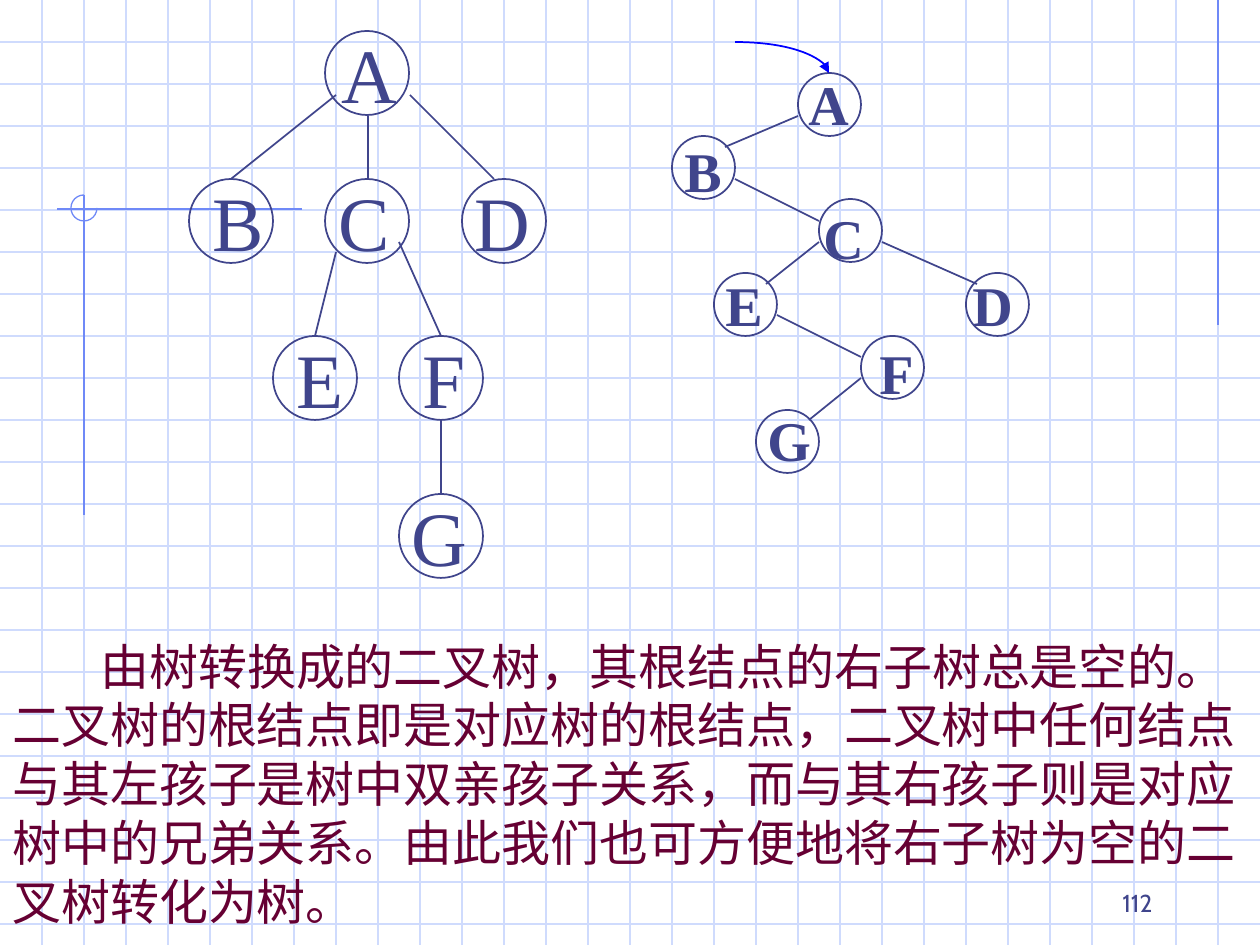
from dataclasses import dataclass
from typing import NamedTuple

from lxml import etree
from pptx import Presentation
from pptx import util as u
from pptx.dml import color
from pptx.enum import shapes, text
from pptx.oxml import ns

EMU_PER_PX = 914400 / 126
WIDTH, HEIGHT, GRID = 1260, 945, 42


def px(length: int) -> u.Emu:
    return u.Emu(round(length * EMU_PER_PX))


@dataclass(frozen=True)
class Theme:
    grid: str = "CFDBFD"
    accent: str = "6F89F7"
    ink: str = "40458C"
    arrow: str = "0000FF"
    body: str = "660033"
    serif: str = "Times New Roman"
    sans: str = "Cabin"
    tree_size: int = 44
    binary_size: int = 32
    body_size: int = 28
    number_size: int = 14
    thin: float = 0.75
    stroke: float = 1
    leading: float = 1.2


class Box(NamedTuple):
    left: int
    top: int
    width: int
    height: int


class Line(NamedTuple):
    x1: int
    y1: int
    x2: int
    y2: int


class Node(NamedTuple):
    letter: str
    left: int
    top: int
    text_left: int
    text_width: int


class Cell(NamedTuple):
    letter: str
    indent: int


@dataclass(frozen=True)
class Style:
    size: int
    color: str
    font: str
    bold: bool = False


THEME = Theme()
TREE_DIAMETER, BINARY_DIAMETER = 84, 63

TREE_NODES = [
    Node("A", 325, 31, 329, 81),
    Node("B", 189, 179, 200, 77),
    Node("C", 325, 179, 326, 77),
    Node("D", 462, 179, 462, 81),
    Node("E", 273, 336, 284, 72),
    Node("F", 399, 336, 410, 68),
    Node("G", 399, 494, 399, 81),
]
TREE_EDGES = [
    Line(410, 95, 494, 179), Line(336, 95, 231, 179), Line(336, 252, 315, 336),
    Line(368, 116, 368, 179), Line(399, 242, 441, 336), Line(441, 420, 441, 494),
]
BINARY_CIRCLES = [(798, 73), (819, 199), (672, 136), (966, 273), (714, 273), (861, 336), (756, 410)]
BINARY_EDGES = [
    Line(735, 179, 819, 221), Line(882, 242, 977, 284), Line(777, 315, 861, 357),
    Line(819, 242, 766, 284), Line(798, 116, 725, 147), Line(861, 378, 809, 420),
]
BINARY_ROWS = [
    [Cell("A", 124)], [Cell("B", 0)], [Cell("C", 139)],
    [Cell("E", 41), Cell("D", 288)], [Cell("F", 195)], [Cell("G", 83)],
]
BODY = (
    "由树转换成的二叉树，其根结点的右子树总是空的。"
    "二叉树的根结点即是对应树的根结点，二叉树中任何结点与其左孩子是树中双亲孩子关系，"
    "而与其右孩子则是对应树中的兄弟关系。由此我们也可方便地将右子树为空的二叉树转化为树。"
)


def add_line(slide, line: Line, rgb: str, width: float, kind=shapes.MSO_CONNECTOR.STRAIGHT):
    connector = slide.shapes.add_connector(kind, *map(px, line))
    connector.line.color.rgb = color.RGBColor.from_string(rgb)
    connector.line.width = u.Pt(width)
    etree.SubElement(connector._element.spPr, ns.qn("a:effectLst"))
    return connector


def add_outline(slide, kind, box: Box, rgb: str, width: float):
    shape = slide.shapes.add_shape(kind, *map(px, box))
    shape.shadow.inherit = False
    shape.fill.background()
    shape.line.color.rgb = color.RGBColor.from_string(rgb)
    shape.line.width = u.Pt(width)
    return shape


def add_text_box(slide, box: Box, wrap: bool):
    frame = slide.shapes.add_textbox(*map(px, box)).text_frame
    frame.word_wrap = wrap
    return frame


def add_run(paragraph, content: str, style: Style) -> None:
    run = paragraph.add_run()
    run.text = content
    run.font.size = u.Pt(style.size)
    run.font.name = style.font
    run.font.bold = style.bold
    run.font.color.rgb = color.RGBColor.from_string(style.color)


def set_leading(paragraph, size: int) -> None:
    paragraph.line_spacing = u.Pt(round(size * THEME.leading, 1))


def draw_background(slide) -> None:
    for y in range(GRID, HEIGHT, GRID):
        add_line(slide, Line(0, y, WIDTH, y), THEME.grid, THEME.thin)
    for x in range(GRID, WIDTH, GRID):
        add_line(slide, Line(x, 0, x, HEIGHT), THEME.grid, THEME.thin)
    for line in (Line(1218, 0, 1218, 325), Line(302, 209, 57, 209), Line(84, 195, 84, 515)):
        add_line(slide, line, THEME.accent, THEME.thin)
    arc = add_outline(slide, shapes.MSO_SHAPE.ARC, Box(71, 195, 26, 26), THEME.accent, THEME.thin)
    arc.adjustments[0] = 0
    arc.adjustments[1] = 162


def draw_tree(slide) -> None:
    style = Style(THEME.tree_size, THEME.ink, THEME.serif)
    for node in TREE_NODES:
        circle = Box(node.left, node.top, TREE_DIAMETER, TREE_DIAMETER)
        add_outline(slide, shapes.MSO_SHAPE.OVAL, circle, THEME.ink, THEME.stroke)
        label = Box(node.text_left, node.top - 11, node.text_width, 106)
        paragraph = add_text_box(slide, label, False).paragraphs[0]
        set_leading(paragraph, style.size)
        add_run(paragraph, node.letter, style)
    for edge in TREE_EDGES:
        add_line(slide, edge, THEME.ink, THEME.stroke)


def draw_binary_tree(slide) -> None:
    style = Style(THEME.binary_size, THEME.ink, THEME.serif, True)
    frame = add_text_box(slide, Box(672, 63, 355, 416), False)
    for index, row in enumerate(BINARY_ROWS):
        paragraph = frame.add_paragraph() if index else frame.paragraphs[0]
        set_leading(paragraph, style.size)
        stops = [cell.indent for cell in row if cell.indent]
        if stops:
            tabs = etree.SubElement(paragraph._p.get_or_add_pPr(), ns.qn("a:tabLst"))
            for stop in stops:
                etree.SubElement(tabs, ns.qn("a:tab"), pos=str(px(stop)), algn="l")
        for cell in row:
            add_run(paragraph, ("\t" if cell.indent else "") + cell.letter, style)
    for left, top in BINARY_CIRCLES:
        circle = Box(left, top, BINARY_DIAMETER, BINARY_DIAMETER)
        add_outline(slide, shapes.MSO_SHAPE.OVAL, circle, THEME.ink, THEME.stroke)
    for edge in BINARY_EDGES:
        add_line(slide, edge, THEME.ink, THEME.stroke)
    arrow = add_line(slide, Line(735, 42, 829, 73), THEME.arrow, THEME.stroke, shapes.MSO_CONNECTOR.CURVE)
    arrow._element.spPr.find(ns.qn("a:prstGeom")).set("prst", "curvedConnector2")
    etree.SubElement(arrow.line._get_or_add_ln(), ns.qn("a:tailEnd"), type="triangle")


def draw_notes(slide) -> None:
    paragraph = add_text_box(slide, Box(0, 630, WIDTH, 307), True).paragraphs[0]
    paragraph._p.get_or_add_pPr().set("indent", str(px(88)))
    set_leading(paragraph, THEME.body_size)
    add_run(paragraph, BODY, Style(THEME.body_size, THEME.body, THEME.serif))
    frame = add_text_box(slide, Box(903, 861, 262, 63), True)
    frame.vertical_anchor = text.MSO_ANCHOR.BOTTOM
    frame.paragraphs[0].alignment = text.PP_ALIGN.RIGHT
    add_run(frame.paragraphs[0], "112", Style(THEME.number_size, THEME.ink, THEME.sans))


def main() -> None:
    presentation = Presentation()
    presentation.slide_width, presentation.slide_height = px(WIDTH), px(HEIGHT)
    slide = presentation.slides.add_slide(presentation.slide_layouts[6])
    draw_background(slide)
    draw_tree(slide)
    draw_binary_tree(slide)
    draw_notes(slide)
    presentation.save("out.pptx")


if __name__ == "__main__":
    main()
